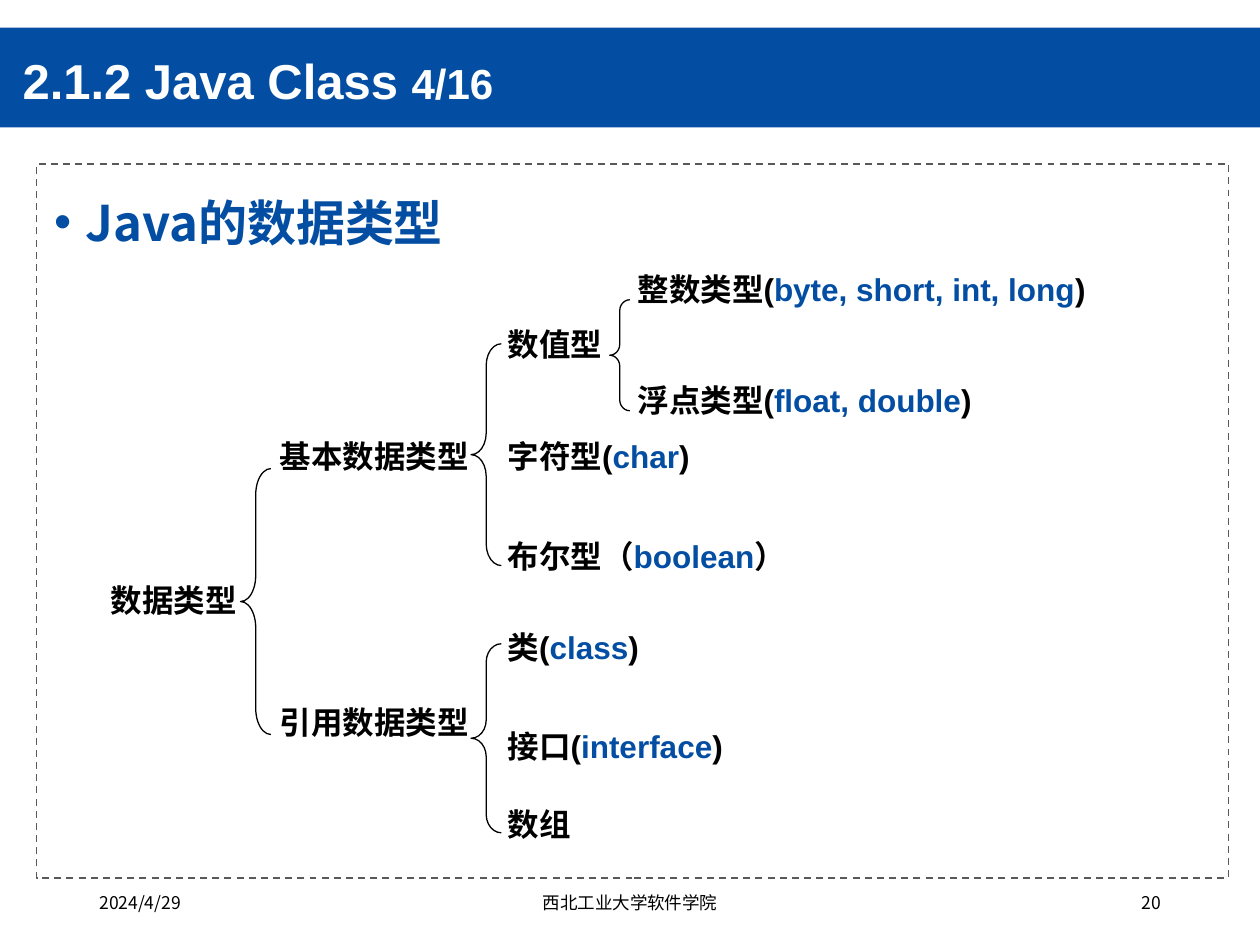
from lxml import etree
from pptx import Presentation
from pptx.dml.color import RGBColor
from pptx.enum.dml import MSO_LINE
from pptx.enum.shapes import MSO_SHAPE
from pptx.enum.text import MSO_ANCHOR, PP_ALIGN
from pptx.oxml.ns import qn
from pptx.util import Pt

BLUE = RGBColor(0x03, 0x4E, 0xA2)
WHITE = RGBColor(0xFF, 0xFF, 0xFF)
BLACK = RGBColor(0, 0, 0)
GREY = RGBColor(0x59, 0x59, 0x59)
RECT, BRACE = MSO_SHAPE.RECTANGLE, MSO_SHAPE.LEFT_BRACE
DASH = MSO_LINE.DASH
TOP, MIDDLE = MSO_ANCHOR.TOP, MSO_ANCHOR.MIDDLE
LEFT, CENTER, RIGHT = PP_ALIGN.LEFT, PP_ALIGN.CENTER, PP_ALIGN.RIGHT
JUSTIFY = PP_ALIGN.JUSTIFY
LATIN, CJK = "Arial", "Noto Sans CJK SC"
COLUMNS = (0, 96.5, 226.8, 301)
LABELS = [
    (0, 177.8, 119.5, 26, "数据类型", ""),
    (1, 95.8, 119.5, 48.2, "基本数据类型", ""),
    (1, 247.7, 119.5, 48.2, "引用数据类型", ""),
    (2, 31.7, 68.4, 48.2, "数值型", ""),
    (2, 95.8, 136, 26, "字符型()", "char"),
    (2, 152.6, 216.7, 26, "布尔型（）", "boolean"),
    (3, 0, 278, 48.2, "整数类型()", "byte, short, int, long"),
    (3, 63.4, 258.5, 26, "浮点类型()", "float, double"),
    (2, 204.5, 113.8, 26, "类()", "class"),
    (2, 261.4, 136, 26, "接口()", "interface"),
    (2, 306, 136, 26, "数组", ""),
]
BRACES = [
    (78.5, 115.9, 17.3, 151.9, 0.862),
    (210.2, 44.6, 17.3, 126.7, 0.713),
    (289.4, 19.4, 11.5, 63.4, 0.542),
    (210.2, 216, 17.3, 108, 0.606),
]


def add_text(s, box, runs, align=LEFT, anchor=TOP, inset=(7.2, 3.6)):
    tf = s.shapes.add_textbox(*map(Pt, box)).text_frame
    dx, dy = map(Pt, inset)
    frame = dict(word_wrap=True, vertical_anchor=anchor, margin_left=dx,
                 margin_right=dx, margin_top=dy, margin_bottom=dy)
    for name, value in frame.items():
        setattr(tf, name, value)
    p = tf.paragraphs[0]
    p.alignment = align
    for text, size, color, bold, face in runs:
        r = p.add_run()
        r.text = text
        for name, value in dict(size=Pt(size), bold=bold, name=face).items():
            setattr(r.font, name, value)
        r.font.color.rgb = color
        r.font._element.find(qn("a:latin")).addnext(
            etree.Element(qn("a:ea"), typeface=CJK))
    return p


def add_outline(s, kind, box, color, width):
    sp = s.shapes.add_shape(kind, *map(Pt, box))
    sp.shadow.inherit = False
    sp.fill.background()
    sp.line.color.rgb = color
    sp.line.width = Pt(width)
    return sp


def add_header(s, x, y, w, h):
    band = s.shapes.add_shape(RECT, *map(Pt, (x, y, w, h)))
    band.shadow.inherit = False
    band.fill.solid()
    band.fill.fore_color.rgb = BLUE
    band.line.fill.background()
    p = add_text(s, (x + 5.8, y + 8, 529.2, 47.5),
                 [("2.1.2 Java Class ", 28, WHITE, True, LATIN),
                  ("4/16", 24, WHITE, True, LATIN)], anchor=MIDDLE)
    p.line_spacing = 0.9


def add_body(s, x, y, w, h):
    add_outline(s, RECT, (x, y, w, h), GREY, 1).line.dash_style = DASH
    p = add_text(s, (x + 2.9, y + 2.9, w - 5.8, h - 7.9),
                 [("Java的数据类型", 28, BLUE, True, CJK)])
    p.line_spacing = 1.3
    pPr = p._p.get_or_add_pPr()
    pPr.set("marL", str(Pt(18)))
    pPr.set("indent", str(Pt(-18)))
    color = etree.SubElement(pPr, qn("a:buClr"))
    etree.SubElement(color, qn("a:srgbClr"), val=str(BLUE))
    etree.SubElement(pPr, qn("a:buFont"), typeface=LATIN)
    etree.SubElement(pPr, qn("a:buChar"), char="•")


def add_type_tree(s, x, y):
    for column, top, w, h, label, keyword in LABELS:
        parts = [(label, BLACK)]
        if keyword:
            parts = [(label[:-1], BLACK), (keyword, BLUE), (label[-1], BLACK)]
        add_text(s, (x + COLUMNS[column], y + top, w, h),
                 [(text, 18, color, True, LATIN) for text, color in parts],
                 align=JUSTIFY, inset=(4.3, 2.2))
    for left, top, w, h, curve in BRACES:
        sp = add_outline(s, BRACE, (x + left, y + top, w, h), BLACK, 0.75)
        sp.adjustments[0] = curve
        sp.adjustments[1] = 0.5


def add_footer(s, x, y, w, h):
    side, middle = 162, 243.4
    fields = [
        (x, side, "2024/4/29", LEFT),
        (x + (w - middle) / 2, middle, "西北工业大学软件学院", CENTER),
        (x + w - side, side, "20", RIGHT),
    ]
    for left, width, text, align in fields:
        add_text(s, (left, y, width, h),
                 [(text, 10, BLACK, False, CJK)], align=align)


def main():
    prs = Presentation()
    prs.slide_width, prs.slide_height = Pt(720), Pt(540)
    s = prs.slides.add_slide(prs.slide_layouts[6])
    add_header(s, 0, 15.8, 720, 57)
    add_body(s, 20.9, 93.6, 681.1, 408.2)
    add_type_tree(s, 59, 151.9)
    add_footer(s, 49.7, 506.2, 620.6, 28.8)
    prs.save("out.pptx")


if __name__ == "__main__":
    main()
